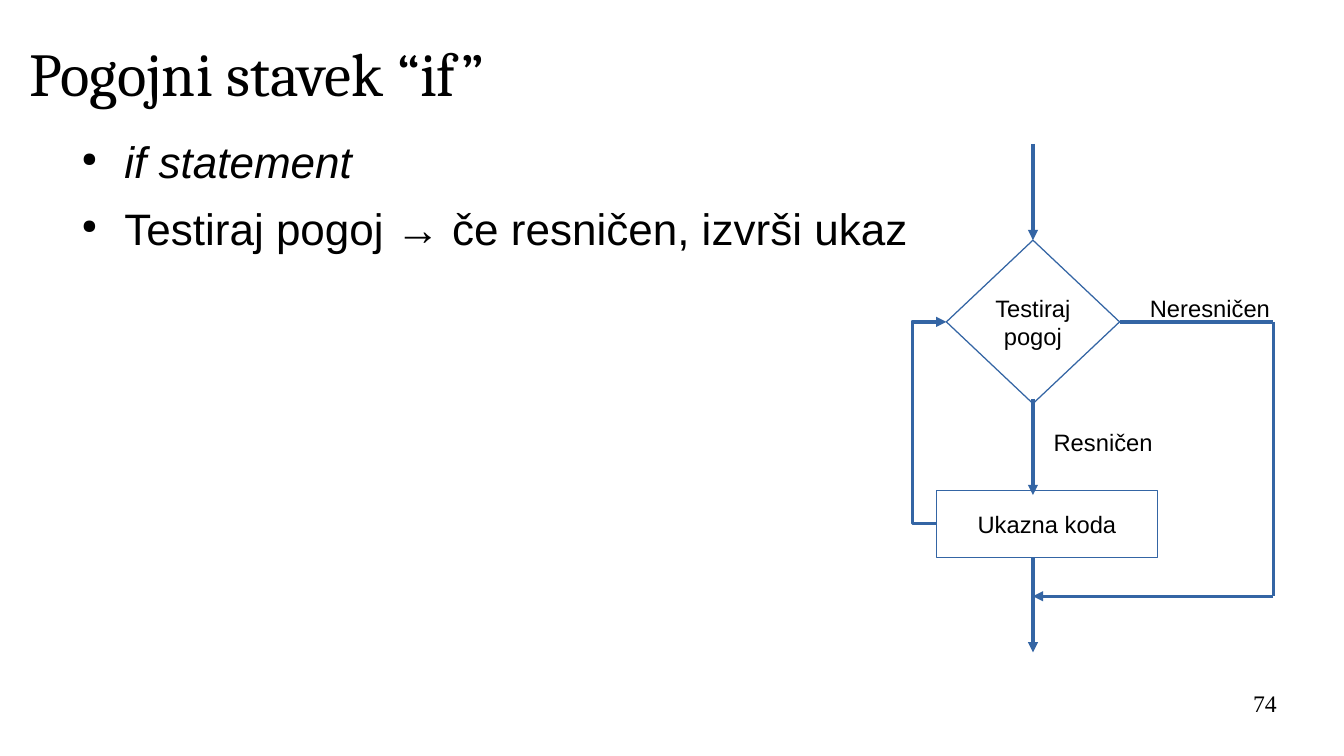
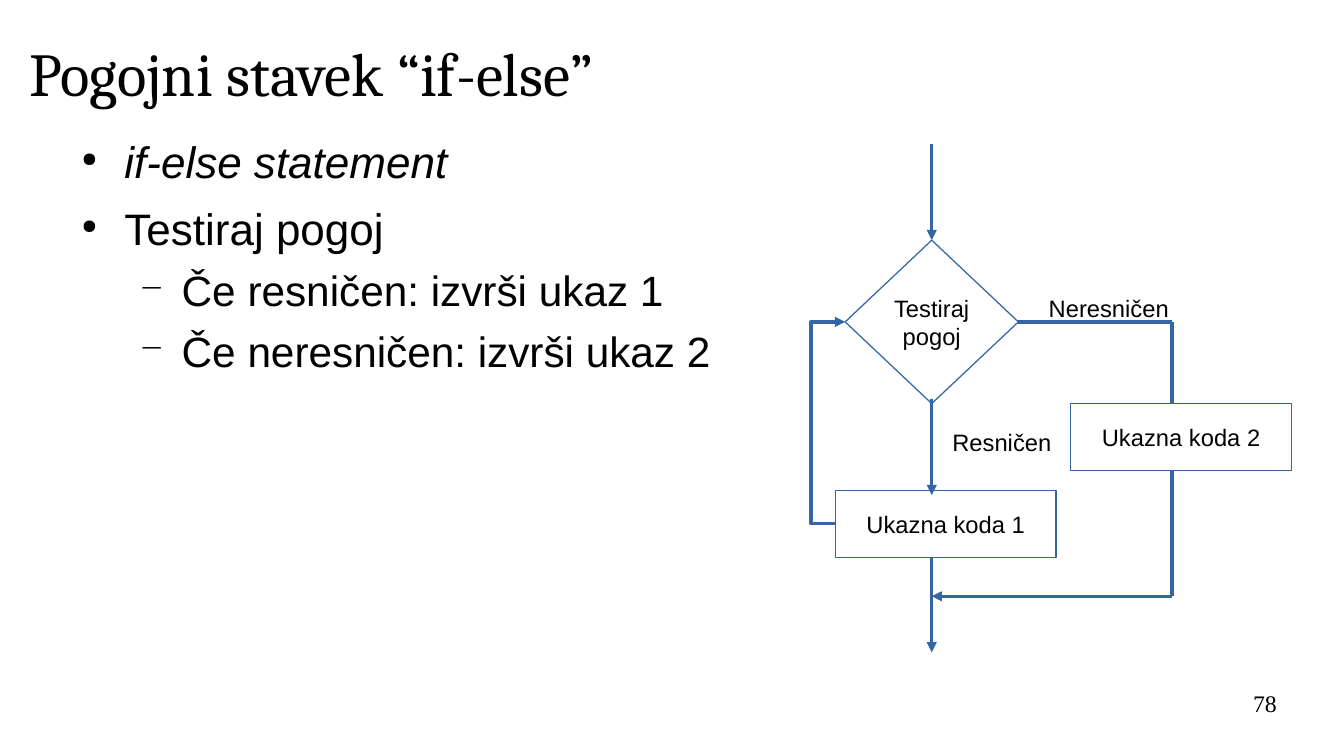
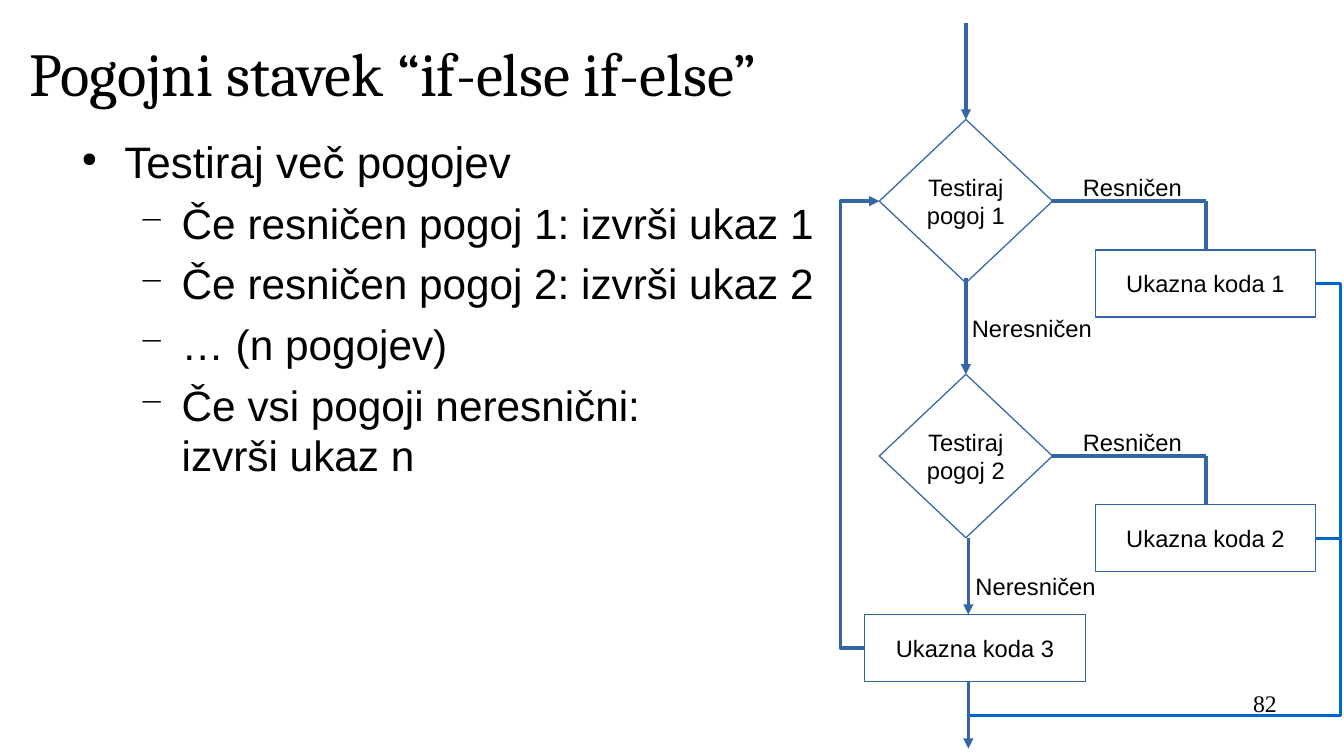
from copy import deepcopy

from lxml import etree
from pptx import Presentation
from pptx.dml.color import RGBColor
from pptx.enum.shapes import MSO_CONNECTOR, MSO_SHAPE
from pptx.enum.text import MSO_ANCHOR, MSO_AUTO_SIZE, PP_ALIGN
from pptx.oxml.ns import qn
from pptx.util import Inches, Pt

STRAIGHT, ELBOW = MSO_CONNECTOR.STRAIGHT, MSO_CONNECTOR.ELBOW
DIAMOND, RECT = MSO_SHAPE.DIAMOND, MSO_SHAPE.RECTANGLE
LEFT, CENTER, RIGHT = PP_ALIGN.LEFT, PP_ALIGN.CENTER, PP_ALIGN.RIGHT
MIDDLE, TOP = MSO_ANCHOR.MIDDLE, MSO_ANCHOR.TOP
NO_AUTOFIT = MSO_AUTO_SIZE.NONE

COLORS = {"text": "000000", "paper": "FFFFFF", "line": "3465A4", "merge": "0066CC"}
TITLE_BOX = (0.24, 0.15, 9.92, 0.88)
BODY_BOX = (0.55, 1.1, 10.39, 4.41)
NUMBER_BOX = (7.9, 5.65, 2.57, 0.43)

# Bullet levels: text indent, space before, bullet, bullet size %, font size
LEVELS = [(0.47, 8.7, "●", 45, 26), (0.94, 5.8, "−", 75, 25)]
HANGING = 0.35

# Flowchart sizes
DIAMOND_W, DIAMOND_H = 1.42, 1.34
CODE_W, CODE_H = 1.81, 0.55
LABEL_H = 0.32
ARROW = 0.79
BRANCH = 1.26


def color(name):
    return RGBColor.from_string(COLORS[name])


def style_paragraph(p, size, font="Arial", align=LEFT, italic=False):
    p.alignment = align
    for r in p.runs:
        r.font.name, r.font.size = font, Pt(size)
        r.font.color.rgb = color("text")
        if italic:
            r.font.italic = True
    # Line breaks take the size of the text around them
    for br in p._p.findall(qn("a:br")):
        br.insert(0, deepcopy(p.runs[0]._r.rPr))


def set_frame(tf, anchor=TOP, inset=(0, 0), wrap=True):
    tf.auto_size, tf.word_wrap, tf.vertical_anchor = NO_AUTOFIT, wrap, anchor
    tf.margin_left = tf.margin_right = Inches(inset[0])
    tf.margin_top = tf.margin_bottom = Inches(inset[1])


def add_textbox(slide, box):
    return slide.shapes.add_textbox(*map(Inches, box))


# Title, bullets and page number
def add_title(slide, text):
    sp = slide.shapes.title
    sp.left, sp.top, sp.width, sp.height = map(Inches, TITLE_BOX)
    set_frame(sp.text_frame, MIDDLE)
    p = sp.text_frame.paragraphs[0]
    p.text = text
    style_paragraph(p, 36, "Cambria")


def add_bullet(p, char, percent):
    pPr = p._p.get_or_add_pPr()
    clr = etree.SubElement(pPr, qn("a:buClr"))
    etree.SubElement(clr, qn("a:srgbClr"), val=COLORS["text"])
    etree.SubElement(pPr, qn("a:buSzPct"), val=str(percent * 1000))
    etree.SubElement(pPr, qn("a:buChar"), char=char)


def add_body(slide, items):
    tf = add_textbox(slide, BODY_BOX).text_frame
    set_frame(tf)
    for i, (level, text, italic) in enumerate(items):
        indent, before, char, percent, size = LEVELS[level]
        p = tf.add_paragraph() if i else tf.paragraphs[0]
        p.text, p.level = text, level
        pPr = p._p.get_or_add_pPr()
        pPr.set("marL", str(Inches(indent)))
        pPr.set("indent", str(-Inches(HANGING)))
        add_bullet(p, char, percent)
        p.space_before = Pt(before if i else 0)
        style_paragraph(p, size, italic=italic)


def add_number(slide, number):
    tf = add_textbox(slide, NUMBER_BOX).text_frame
    set_frame(tf)
    tf.text = str(number)
    style_paragraph(tf.paragraphs[0], 14, "Times New Roman", RIGHT)


# Flowchart parts
def add_line(slide, x1, y1, x2, y2, arrow=False, via=None, line="line"):
    """Straight line, or an elbow whose middle leg stands at x = via."""
    kind = STRAIGHT if via is None else ELBOW
    cxn = slide.shapes.add_connector(kind, *map(Inches, (x1, y1, x2, y2)))
    cxn.line.color.rgb, cxn.line.width = color(line), 0
    spPr = cxn._element.spPr
    if via is not None:
        adj = round((via - x1) / (x2 - x1) * 100000)
        guides = spPr.find(qn("a:prstGeom")).find(qn("a:avLst"))
        etree.SubElement(guides, qn("a:gd"), name="adj1", fmla=f"val {adj}")
    if arrow:
        etree.SubElement(spPr.find(qn("a:ln")), qn("a:tailEnd"), type="triangle")
    etree.SubElement(spPr, qn("a:effectLst"))


def add_node(slide, kind, box, text, filled=False):
    sp = slide.shapes.add_shape(kind, *map(Inches, box))
    sp.shadow.inherit = False
    if filled:
        sp.fill.solid()
        sp.fill.fore_color.rgb = color("paper")
    else:
        sp.fill.background()
    sp.line.color.rgb, sp.line.width = color("line"), 0
    set_frame(sp.text_frame, MIDDLE, (0.1, 0.05), wrap=False)
    p = sp.text_frame.paragraphs[0]
    p.text = text
    style_paragraph(p, 14, align=CENTER)


def add_code(slide, x, y, text, filled=False):
    add_node(slide, RECT, (x, y, CODE_W, CODE_H), text, filled)


def add_label(slide, x, y, w, text, filled=False):
    sp = add_textbox(slide, (x, y, w, LABEL_H))
    if filled:
        sp.fill.solid()
        sp.fill.fore_color.rgb = color("paper")
    set_frame(sp.text_frame, inset=(0.1, 0.05))
    sp.text_frame.text = text
    style_paragraph(sp.text_frame.paragraphs[0], 14)


def add_decision(slide, x, y, text, side, below, below_at):
    """Diamond at x, y with its incoming arrow, side branch and two labels."""
    axis, mid = x + DIAMOND_W / 2, y + DIAMOND_H / 2
    add_label(slide, x + below_at[0], y + below_at[1], 1.69, below, filled=True)
    add_label(slide, x + 1.57, y + 0.39, 1.22, side)
    add_line(slide, axis, y - ARROW, axis, y, arrow=True)
    add_node(slide, DIAMOND, (x, y, DIAMOND_W, DIAMOND_H), text)
    add_line(slide, x + DIAMOND_W, mid, x + DIAMOND_W + BRANCH, mid)


def add_single_flow(slide, left, top, code, else_code=None):
    """One condition; the false branch may pass through a code box."""
    x, y = left + 0.28, top + ARROW
    axis, mid = x + DIAMOND_W / 2, y + DIAMOND_H / 2
    branch, merge = x + DIAMOND_W + BRANCH, top + 3.71
    code_x, code_y = left + 0.2, top + 2.84
    add_decision(slide, x, y, "Testiraj\npogoj", "Neresničen", "Resničen", (0.78, 1.49))
    add_line(slide, axis, top + 2.09, axis, top + 2.88, arrow=True)
    add_code(slide, code_x, code_y, code)
    add_line(slide, code_x, code_y + CODE_H / 2, x, mid, arrow=True, via=left)
    add_line(slide, branch, mid, branch, merge)
    add_line(slide, branch, merge, axis, merge, arrow=True)
    add_line(slide, axis, code_y + CODE_H, axis, top + 4.17, arrow=True)
    if else_code:
        add_code(slide, left + 2.13, top + 2.13, else_code, filled=True)


def add_chain_flow(slide, left, top):
    """Two conditions in a row, each with its own code, then a last code box."""
    x, first_y, step = left + 0.32, top + 0.78, 2.09
    axis, branch = left + 1.05, x + DIAMOND_W + BRANCH
    code_x, last_x, last_y = left + 2.09, left + 0.2, top + 4.84
    merge = top + 5.67
    for i, below_at in enumerate([(0.66, 1.54), (0.69, 1.57)]):
        y = first_y + i * step
        code_y = y + 1.07
        add_decision(slide, x, y, f"Testiraj\npogoj {i + 1}", "Resničen", "Neresničen", below_at)
        add_line(slide, branch, y + DIAMOND_H / 2, branch, code_y)
        add_code(slide, code_x, code_y, f"Ukazna koda {i + 1}", filled=True)
        add_line(slide, code_x + CODE_W, code_y + CODE_H / 2, axis, merge,
                 via=left + 4.1, line="merge")
    add_line(slide, axis, first_y + step + DIAMOND_H, axis, last_y, arrow=True)
    add_code(slide, last_x, last_y, "Ukazna koda 3")
    add_line(slide, last_x, last_y + CODE_H / 2, x, first_y + DIAMOND_H / 2,
             arrow=True, via=left)
    add_line(slide, axis, last_y + CODE_H, axis, top + 5.94, arrow=True)


def add_slide(prs, title, items, number):
    slide = prs.slides.add_slide(prs.slide_layouts[5])
    add_title(slide, title)
    add_body(slide, items)
    add_number(slide, number)
    return slide


def main():
    prs = Presentation()
    prs.slide_width, prs.slide_height = Inches(11.02), Inches(6.2)

    s = add_slide(prs, "Pogojni stavek “if”", [
        (0, "if statement", True),
        (0, "Testiraj pogoj → če resničen, izvrši ukaz", False),
    ], 74)
    add_single_flow(s, 7.48, 1.18, "Ukazna koda")

    s = add_slide(prs, "Pogojni stavek “if-else”", [
        (0, "if-else statement", True),
        (0, "Testiraj pogoj", False),
        (1, "Če resničen: izvrši ukaz 1", False),
        (1, "Če neresničen: izvrši ukaz 2", False),
    ], 78)
    add_single_flow(s, 6.65, 1.18, "Ukazna koda 1", "Ukazna koda 2")

    s = add_slide(prs, "Pogojni stavek “if-else if-else”", [
        (0, "Testiraj več pogojev", False),
        (1, "Če resničen pogoj 1: izvrši ukaz 1", False),
        (1, "Če resničen pogoj 2: izvrši ukaz 2", False),
        (1, "… (n pogojev)", False),
        (1, "Če vsi pogoji neresnični:\nizvrši ukaz n", False),
    ], 82)
    add_chain_flow(s, 6.89, 0.2)

    prs.save("out.pptx")


if __name__ == "__main__":
    main()
